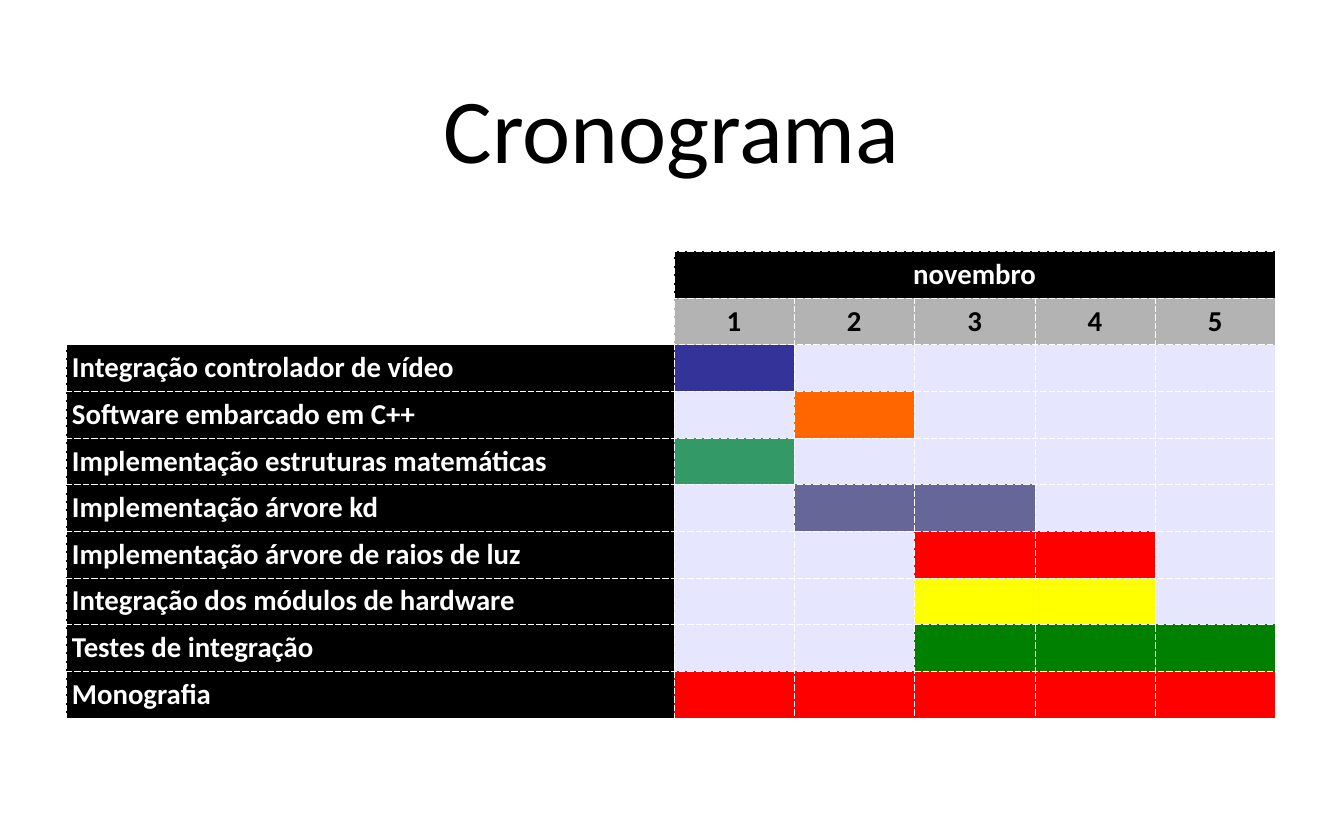
from lxml import etree
from pptx import Presentation
from pptx.dml.color import RGBColor
from pptx.enum.text import MSO_ANCHOR, PP_ALIGN
from pptx.oxml import parse_xml
from pptx.oxml.ns import nsdecls
from pptx.util import Inches, Pt

BLACK, WHITE, GREY, LAVENDER = "000000", "FFFFFF", "B3B3B3", "E6E6FF"
WEEKS = 5

# Task, first week, last week, bar colour
TASKS = [
    ("Integração controlador de vídeo", 1, 1, "333399"),
    ("Software embarcado em C++", 2, 2, "FF6600"),
    ("Implementação estruturas matemáticas", 1, 1, "339966"),
    ("Implementação árvore kd", 2, 3, "666699"),
    ("Implementação árvore de raios de luz", 3, 4, "FF0000"),
    ("Integração dos módulos de hardware", 3, 4, "FFFF00"),
    ("Testes de integração", 3, 5, "008000"),
    ("Monografia", 1, 5, "FF0000"),
]


def format_text(paragraph, size, color, bold, alignment):
    paragraph.alignment = alignment
    paragraph.font.name = "Calibri"
    paragraph.font.size = Pt(size)
    paragraph.font.bold = bold
    paragraph.font.color.rgb = RGBColor.from_string(color)


def fill_cell(cell, fill, text="", color=WHITE, alignment=PP_ALIGN.CENTER):
    cell.fill.solid()
    cell.fill.fore_color.rgb = RGBColor.from_string(fill)
    cell.vertical_anchor = MSO_ANCHOR.MIDDLE
    if text:
        cell.text = text
        format_text(cell.text_frame.paragraphs[0], 36, color, True, alignment)
    # Dashed white borders come before the fill in the cell properties
    properties = cell._tc.get_or_add_tcPr()
    for position, side in enumerate("LRTB"):
        properties.insert(position, parse_xml(
            f'<a:ln{side} {nsdecls("a")} w="5715"><a:solidFill>'
            f'<a:srgbClr val="{WHITE}"/></a:solidFill>'
            f'<a:prstDash val="dash"/></a:ln{side}>'))


presentation = Presentation()
presentation.slide_width = Inches(23.34)
presentation.slide_height = Inches(14.58)
slide = presentation.slides.add_slide(presentation.slide_layouts[5])

# Title
title = slide.shapes.title
title.left, title.top = Inches(2.17), Inches(0.38)
title.width, title.height = Inches(18.99), Inches(3.65)
frame = title.text_frame
frame.text = "Cronograma"
frame.vertical_anchor = MSO_ANCHOR.MIDDLE
frame.margin_left = frame.margin_right = Inches(0.06)
frame.margin_top = frame.margin_bottom = Inches(0.06)
format_text(frame.paragraphs[0], 114, BLACK, False, PP_ALIGN.CENTER)

# Schedule grid
table = slide.shapes.add_table(
    len(TASKS) + 2, WEEKS + 1,
    Inches(1.15), Inches(4.36), Inches(21), Inches(8.1)).table
table.columns[0].width = Inches(10.55)
for week in range(1, WEEKS + 1):
    table.columns[week].width = Inches(2.09)

# Month and week headings
table.cell(0, 1).merge(table.cell(0, WEEKS))
for row in range(2):
    fill_cell(table.cell(row, 0), WHITE)
for week in range(1, WEEKS + 1):
    fill_cell(table.cell(0, week), BLACK, "novembro" if week == 1 else "")
    fill_cell(table.cell(1, week), GREY, str(week), BLACK)

# Task names and bars
for row, (task, first, last, color) in enumerate(TASKS, start=2):
    fill_cell(table.cell(row, 0), BLACK, task, alignment=PP_ALIGN.LEFT)
    for week in range(1, WEEKS + 1):
        fill_cell(table.cell(row, week), color if first <= week <= last else LAVENDER)

presentation.save("out.pptx")
